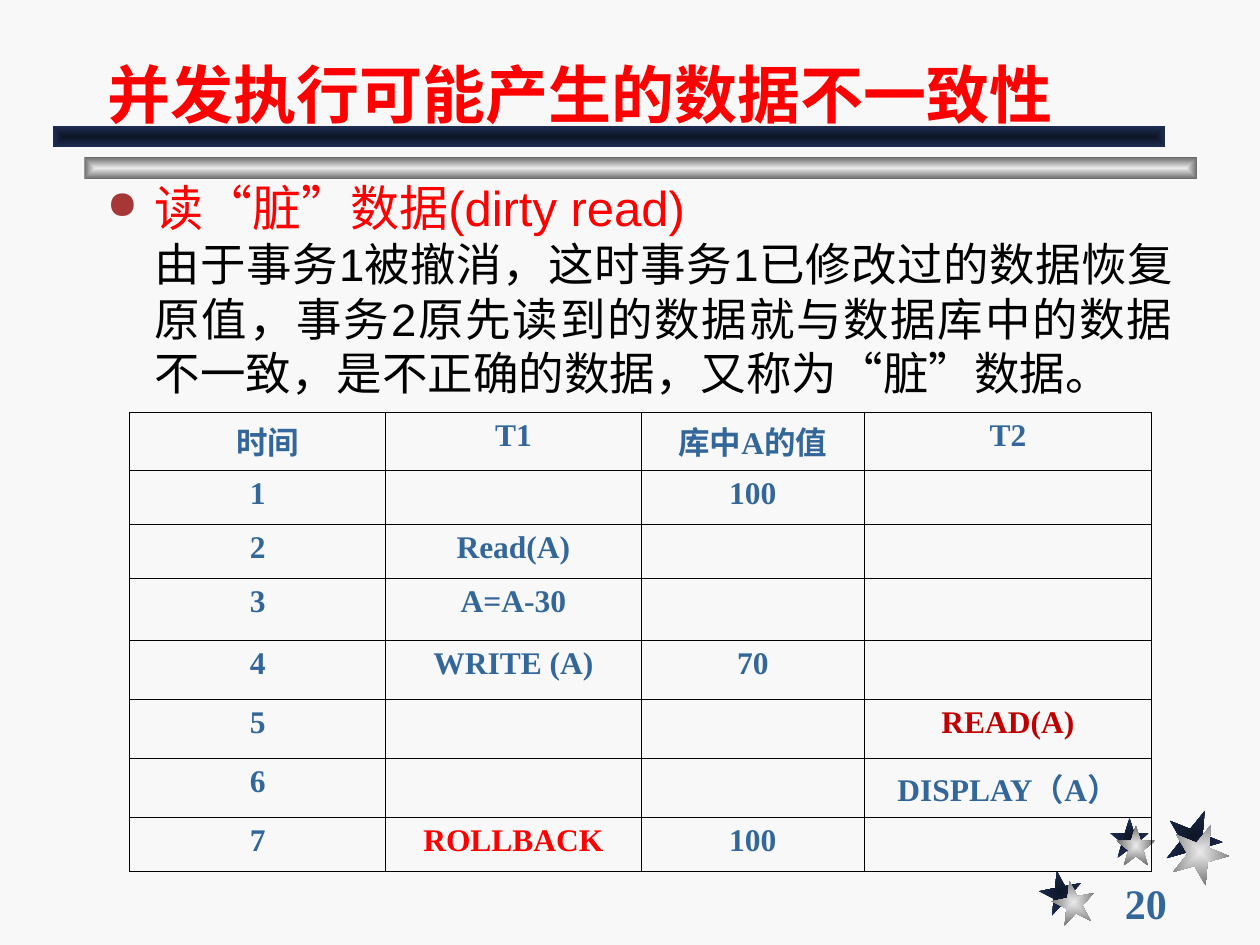
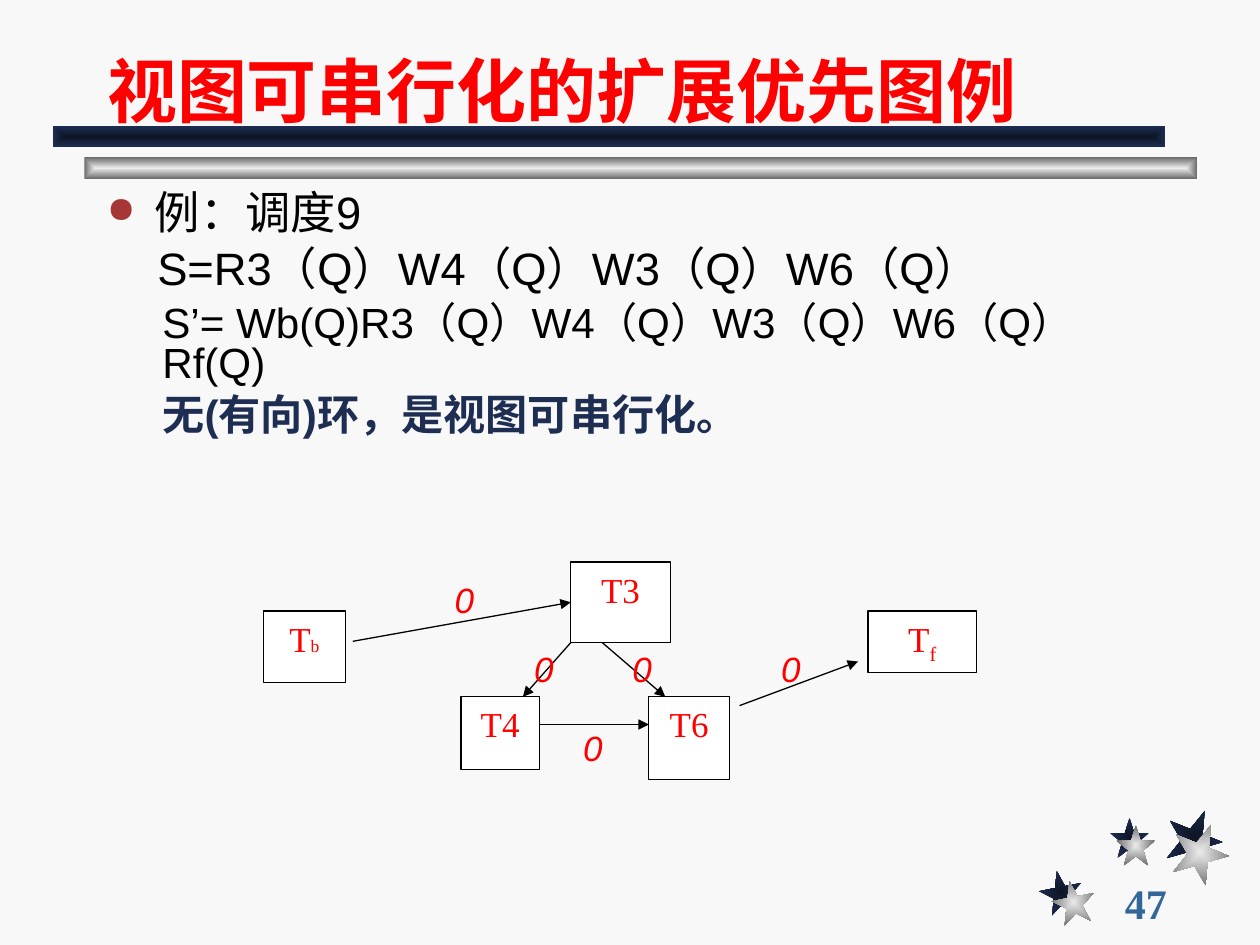
from dataclasses import dataclass

from lxml import etree
from pptx import Presentation
from pptx.dml.color import RGBColor
from pptx.enum import dml, shapes, text
from pptx.oxml import ns
from pptx.util import Inches, Pt


@dataclass(frozen=True)
class Theme:
    paper: str = "F8F8F8"
    white: str = "FFFFFF"
    black: str = "000000"
    red: str = "FF0000"
    dark_red: str = "C00000"
    blue: str = "336699"
    navy: str = "1E2E53"
    bullet: str = "A73737"
    navy_glow: tuple = ("0E1526", "1E2E53")
    silver_glow: tuple = ("EAEAEA", "6C6C6C")
    sans: str = "Arial"
    serif: str = "Times New Roman"
    page_size: float = 24
    cell_size: float = 18
    node_size: float = 20
    line: float = 0.75
    cell_line: float = 0.45


T = Theme()
CENTER, LEFT, JUSTIFY = text.PP_ALIGN.CENTER, text.PP_ALIGN.LEFT, text.PP_ALIGN.JUSTIFY

BANDS = [((0.67, 1.25, 8.83, 0.17), T.silver_glow), ((0.42, 1, 8.83, 0.17), T.navy_glow)]
STARS = [
    ((8.25, 6.91, 0.34, 0.34), -11, (0.1, 0.08)),
    ((8.81, 6.49, 0.31, 0.32), 0, (0.05, 0.06)),
    ((9.25, 6.42, 0.45, 0.46), 22, (0.05, 0.11)),
]

DIRTY_READ = {
    "title": ("并发执行可能产生的数据不一致性", 36),
    "page": "20",
    "body_at": (0.75, 1.36, 8.66, 1.91),
    "body": [
        dict(words="读“脏”数据(dirty read)", size=28, color=T.red, bullet=True),
        dict(words="由于事务1被撤消，这时事务1已修改过的数据恢复原值，事务2原先读到的数据就与"
                   "数据库中的数据不一致，是不正确的数据，又称为“脏”数据。",
             size=26, align=JUSTIFY),
    ],
}
SCHEDULE_AT = (1.03, 3.27)
SCHEDULE_COLUMNS = [2.03, 2.03, 1.77, 2.28]
SCHEDULE_HEIGHTS = [0.46, 0.43, 0.43, 0.49, 0.47, 0.47, 0.47, 0.43]
SCHEDULE = [
    ("时间", "T1", "库中A的值", "T2"),
    ("1", "", "100", ""),
    ("2", "Read(A)", "", ""),
    ("3", "A=A-30", "", ""),
    ("4", "WRITE (A)", "70", ""),
    ("5", "", "", "READ(A)"),
    ("6", "", "", "DISPLAY（A）"),
    ("7", "ROLLBACK", "100", ""),
]
SCHEDULE_ACCENTS = {"READ(A)": T.dark_red, "ROLLBACK": T.red}
SCHEDULE_SHIFTS = {"时间": 0.16}

VIEW_GRAPH = {
    "title": ("视图可串行化的扩展优先图例", 40),
    "page": "47",
    "body_at": (0.75, 1.5, 8.5, 2.17),
    "body": [
        dict(words="例：调度9", size=25.9, bullet=True, spacing=0.8),
        dict(words="S=R3（Q）W4（Q）W3（Q）W6（Q）", size=25.9, margin=0.4, spacing=0.8, before=7),
        dict(words="S’= Wb(Q)R3（Q）W4（Q）W3（Q）W6（Q）Rf(Q)", size=24.1,
             margin=0.44, spacing=0.8, before=6.5),
        dict(words="无(有向)环，是视图可串行化。", size=24.1, color=T.navy, bold=True,
             margin=0.44, spacing=0.8, before=6.5),
    ],
}
TRANSACTIONS = {
    "Tb": (2.09, 4.85, 0.65, 0.57),
    "Tf": (6.89, 4.85, 0.86, 0.49),
    "T4": (3.66, 5.53, 0.62, 0.58),
    "T3": (4.53, 4.46, 0.79, 0.64),
    "T6": (5.15, 5.53, 0.64, 0.66),
}
SUBSCRIPTS = {"Tb": dict(size=10), "Tf": dict(baseline="-25000")}
PRECEDENCES = [
    ((2.8, 5.09), (4.53, 4.78), ("T3", 1)),
    ((4.78, 5.1), (5.28, 5.53), None),
    ((4.28, 5.75), (5.15, 5.75), None),
    ((5.87, 5.6), (6.81, 5.25), None),
    ((4.53, 5.1), (4.15, 5.53), None),
]
WEIGHT = "0"
WEIGHT_SPOTS = [(3.51, 4.54), (6.1, 5.09), (4.14, 5.09), (4.92, 5.09), (4.53, 5.72)]
WEIGHT_SIZE = (0.35, 0.44)


def inches(values):
    return [Inches(value) for value in values]


def rgb(code):
    return RGBColor.from_string(code)


def apply(target, **values):
    for name, value in values.items():
        setattr(target, name, value)


def style(font, size, color, name=T.sans, **values):
    apply(font, size=Pt(size), name=name, **values)
    font.color.rgb = rgb(color)


def add_xml(parent, tag, **attributes):
    return etree.SubElement(parent, ns.qn(tag), attributes)


def glow(slide, kind, at, colors, turn=0):
    ornament = slide.shapes.add_shape(kind, *inches(at))
    ornament.shadow.inherit = False
    ornament.line.fill.background()
    ornament.rotation = turn
    ornament.fill.gradient()
    for stop, color, position in zip(ornament.fill.gradient_stops, colors, (0, 1)):
        stop.color.rgb = rgb(color)
        stop.position = position
    gradient = ornament.element.spPr.find(ns.qn("a:gradFill"))
    gradient.remove(gradient.find(ns.qn("a:lin")))
    center = add_xml(gradient, "a:path", path="rect")
    add_xml(center, "a:fillToRect", l="50000", t="50000", r="50000", b="50000")


def add_words(slide, at, wrap=True, anchor=text.MSO_ANCHOR.TOP):
    frame = slide.shapes.add_textbox(*inches(at)).text_frame
    apply(frame, word_wrap=wrap, vertical_anchor=anchor)
    return frame


def add_paragraph(paragraph, words, size, color=T.black, bold=False, bullet=False,
                  margin=0.38, align=LEFT, spacing=1.0, before=0):
    properties = paragraph._p.get_or_add_pPr()
    properties.set("marL", str(Inches(margin)))
    properties.set("indent", str(-Inches(margin) if bullet else 0))
    if bullet:
        add_xml(add_xml(properties, "a:buClr"), "a:srgbClr", val=T.bullet)
        add_xml(properties, "a:buSzPct", val="80000")
        add_xml(properties, "a:buChar", char="●")
    else:
        add_xml(properties, "a:buNone")
    apply(paragraph, alignment=align, line_spacing=spacing, space_before=Pt(before))
    run = paragraph.add_run()
    run.text = words
    style(run.font, size, color, bold=bold)


def add_page(deck, content):
    slide = deck.slides.add_slide(deck.slide_layouts[5])
    for layer, colors in enumerate((T.navy_glow, T.silver_glow)):
        for (left, top, width, height), turn, (right, down) in STARS:
            at = (left + layer * right, top + layer * down, width, height)
            glow(slide, shapes.MSO_SHAPE.STAR_5_POINT, at, colors, turn)
    for at, colors in BANDS:
        glow(slide, shapes.MSO_SHAPE.RECTANGLE, at, colors)

    number = add_words(slide, (8.83, 7, 1.08, 0.33), False, text.MSO_ANCHOR.MIDDLE)
    number.text = content["page"]
    style(number.paragraphs[0].runs[0].font, T.page_size, T.blue, T.serif, bold=True)

    title = slide.shapes.title
    title.element.getparent().append(title.element)
    apply(title, **dict(zip(("left", "top", "width", "height"), inches((0.75, 0.17, 8.5, 0.92)))))
    words, size = content["title"]
    frame = title.text_frame
    frame.text = words
    apply(frame, word_wrap=True, auto_size=text.MSO_AUTO_SIZE.NONE,
          vertical_anchor=text.MSO_ANCHOR.BOTTOM)
    frame.paragraphs[0].alignment = LEFT
    style(frame.paragraphs[0].runs[0].font, size, T.red, bold=True)

    body = add_words(slide, content["body_at"])
    for index, entry in enumerate(content["body"]):
        add_paragraph(body.add_paragraph() if index else body.paragraphs[0], **entry)
    return slide


def border(cell):
    properties = cell._tc.get_or_add_tcPr()
    for index, side in enumerate(("a:lnL", "a:lnR", "a:lnT", "a:lnB")):
        edge = etree.Element(ns.qn(side), w=str(Pt(T.cell_line)))
        add_xml(add_xml(edge, "a:solidFill"), "a:srgbClr", val=T.black)
        properties.insert(index, edge)


def add_schedule(slide):
    size = (sum(SCHEDULE_COLUMNS), sum(SCHEDULE_HEIGHTS))
    grid = slide.shapes.add_table(len(SCHEDULE), len(SCHEDULE_COLUMNS),
                                  *inches(SCHEDULE_AT + size)).table
    apply(grid, first_row=False, horz_banding=False)
    for column, width in zip(grid.columns, SCHEDULE_COLUMNS):
        column.width = Inches(width)
    for row, height, entries in zip(grid.rows, SCHEDULE_HEIGHTS, SCHEDULE):
        row.height = Inches(height)
        for cell, words in zip(row.cells, entries):
            cell.fill.background()
            border(cell)
            cell.margin_left = Inches(0.1 + SCHEDULE_SHIFTS.get(words, 0))
            cell.text = words
            paragraph = cell.text_frame.paragraphs[0]
            paragraph.alignment = CENTER
            for run in paragraph.runs:
                style(run.font, T.cell_size, SCHEDULE_ACCENTS.get(words, T.blue),
                      T.serif, bold=True)


def add_transaction(slide, name, at):
    node = slide.shapes.add_shape(shapes.MSO_SHAPE.RECTANGLE, *inches(at))
    node.shadow.inherit = False
    node.fill.solid()
    node.fill.fore_color.rgb = rgb(T.white)
    node.line.color.rgb = rgb(T.black)
    node.line.width = Pt(T.line)
    apply(node.text_frame, word_wrap=True, vertical_anchor=text.MSO_ANCHOR.TOP)
    paragraph = node.text_frame.paragraphs[0]
    paragraph.alignment = CENTER
    lowered = SUBSCRIPTS.get(name)
    for words in name if lowered else [name]:
        run = paragraph.add_run()
        run.text = words
        style(run.font, T.node_size, T.red, T.serif)
    if lowered:
        run.font.size = Pt(lowered.get("size", T.node_size))
        if "baseline" in lowered:
            run._r.get_or_add_rPr().set("baseline", lowered["baseline"])
    return node


def add_precedence(slide, start, end, joint, nodes):
    arrow = slide.shapes.add_connector(shapes.MSO_CONNECTOR.STRAIGHT, *inches(start + end))
    if joint:
        name, side = joint
        arrow.end_connect(nodes[name], side)
    arrow.line.color.rgb = rgb(T.black)
    arrow.line.width = Pt(T.line)
    arrow.line.dash_style = dml.MSO_LINE.SOLID
    add_xml(arrow.line._get_or_add_ln(), "a:tailEnd", type="triangle")
    add_xml(arrow.element.spPr, "a:effectLst")


def add_precedence_graph(slide):
    nodes = {name: add_transaction(slide, name, at) for name, at in TRANSACTIONS.items()}
    for start, end, joint in PRECEDENCES:
        add_precedence(slide, start, end, joint, nodes)
    for spot in WEIGHT_SPOTS:
        label = add_words(slide, spot + WEIGHT_SIZE, False)
        label.text = WEIGHT
        label.paragraphs[0].alignment = CENTER
        style(label.paragraphs[0].runs[0].font, T.node_size, T.red, italic=True)


def main():
    deck = Presentation()
    apply(deck, slide_width=Inches(10), slide_height=Inches(7.5))
    backdrop = deck.slide_master.background.fill
    backdrop.solid()
    backdrop.fore_color.rgb = rgb(T.paper)
    add_schedule(add_page(deck, DIRTY_READ))
    add_precedence_graph(add_page(deck, VIEW_GRAPH))
    deck.save("out.pptx")


if __name__ == "__main__":
    main()
